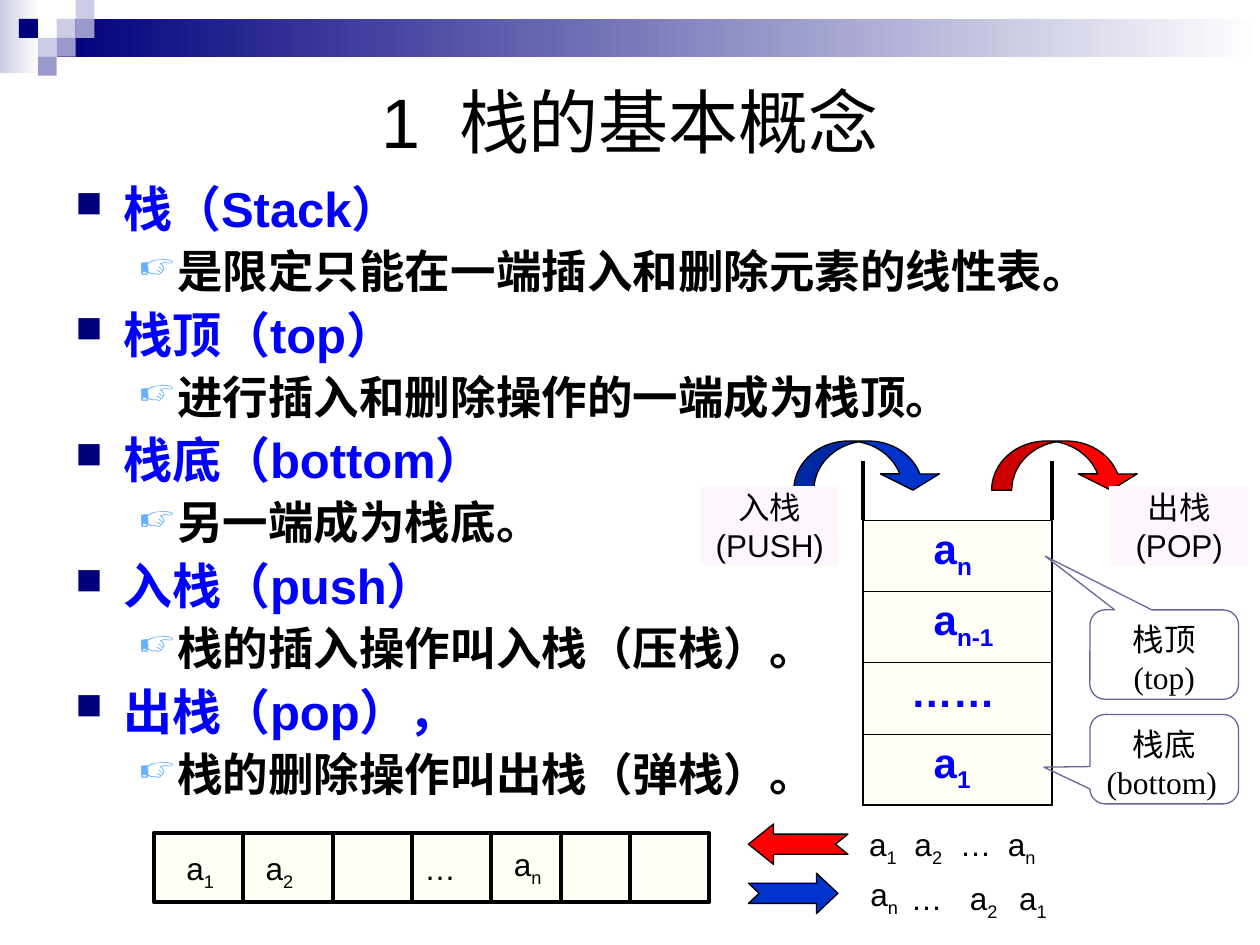
from pptx import Presentation
from pptx.util import Inches, Pt
from pptx.dml.color import RGBColor
from pptx.enum.shapes import MSO_SHAPE, MSO_CONNECTOR
from pptx.enum.text import PP_ALIGN, MSO_ANCHOR
from pptx.oxml import parse_xml
from pptx.oxml.ns import nsdecls, qn
from lxml.etree import SubElement

deck = Presentation()
deck.slide_width, deck.slide_height = Inches(10), Inches(7.5)
unit = deck.slide_width // 10  # grid of 10 columns by 7.5 rows
hue = RGBColor.from_string
slide = deck.slides.add_slide(deck.slide_layouts[5])
shapes = slide.shapes


def add(kind, x, y, w, h, fill=None, line=None, width=0.75):
    """Add a preset shape, or a text box when kind is None; sizes in grid units."""
    spot = [round(v * unit) for v in (x, y, w, h)]
    if kind is None:
        return shapes.add_textbox(*spot)
    shape = shapes.add_shape(kind, *spot)
    shape.shadow.inherit = False
    if fill:
        shape.fill.solid()
        shape.fill.fore_color.rgb = hue(fill)
    else:
        shape.fill.background()
    if line:
        shape.line.color.rgb = hue(line)
        shape.line.width = Pt(width)
    else:
        shape.line.fill.background()
    return shape


def write(para, text, size=18, ink="000000", face="Arial", bold=False):
    """Fill a paragraph; the part after "_" in each tabbed piece is a subscript."""
    for i, piece in enumerate(text.split("\t")):
        base, _, sub = piece.partition("_")
        for part, low in ((("\t" if i else "") + base, False), (sub, True)):
            if not part:
                continue
            run = para.add_run()
            run.text = part
            run.font.size = Pt(size)
            run.font.name = face
            run.font.bold = bold
            run.font.color.rgb = hue(ink)
            if low:
                run._r.get_or_add_rPr().set("baseline", "-25000")


# Banner
for x, y, w, h, start in ((0, 0, 0.31, 0.58, "CCCCE6"), (0.45, 0.15, 9.55, 0.3, "00007D")):
    band = add(MSO_SHAPE.RECTANGLE, x, y, w, h, start)
    band.fill.gradient()
    band.fill.gradient_angle = 0
    for stop, tint in zip(band.fill.gradient_stops, (start, "FFFFFF")):
        stop.color.rgb = hue(tint)
side = 0.15
for col, row, tint in ((3, 1, "CCCCE6"), (4, 0, "CCCCE6"), (4, 1, "9999CC"), (2, 2, "CCCCE6"),
                       (1, 1, "00007D"), (3, 2, "9999CC"), (2, 3, "9999CC")):
    add(MSO_SHAPE.RECTANGLE, col * side, row * side, side, side, tint)

# Title
title = shapes.title
title.left, title.top, title.width, title.height = (
    round(v * unit) for v in (0.5, 0.5, 9, 0.92))
title.text_frame.vertical_anchor = MSO_ANCHOR.MIDDLE
head = title.text_frame.paragraphs[0]
head.alignment = PP_ALIGN.CENTER
write(head, "1  栈的基本概念", 40)

# Terms and their meanings
terms = (
    ("栈（Stack）", "是限定只能在一端插入和删除元素的线性表。"),
    ("栈顶（top）", "进行插入和删除操作的一端成为栈顶。"),
    ("栈底（bottom）", "另一端成为栈底。"),
    ("入栈（push）", "栈的插入操作叫入栈（压栈）。"),
    ("出栈（pop），", "栈的删除操作叫出栈（弹栈）。"),
)
levels = (  # left, hang, bullet, bullet colour, bullet size, text size, ink
    (0.38, 0.38, "■", "00007D", 75, 28, "0000FF"),
    (0.81, 0.31, "☞", "67AFFF", 80, 26, "000000"),
)
frame = add(None, 0.5, 1.42, 9, 5.33).text_frame
frame.word_wrap = True
for n, pair in enumerate(terms):
    for level, text in enumerate(pair):
        left, hang, mark, tint, share, size, ink = levels[level]
        first = n == level == 0
        para = frame.paragraphs[0] if first else frame.add_paragraph()
        para.level = level
        props = para._p.get_or_add_pPr()
        props.set("marL", str(Inches(left)))
        props.set("indent", str(-Inches(hang)))
        SubElement(SubElement(props, qn("a:buClr")), qn("a:srgbClr")).set("val", tint)
        SubElement(props, qn("a:buSzPct")).set("val", str(share * 1000))
        SubElement(props, qn("a:buChar")).set("char", mark)
        para.line_spacing = 0.9
        if not first:
            para.space_before = Pt(size / 4)
        write(para, text, size, ink, bold=True)

# In and out arrows beside the row of cells
for y, w, tint, turn, tip in ((6.54, 0.79, "FF0000", 180, 0.62), (6.93, 0.71, "0033CC", 0, 0.53)):
    arrow = add(MSO_SHAPE.NOTCHED_RIGHT_ARROW, 5.94, y, w, 0.32, tint, "000000")
    arrow.rotation = turn
    arrow.adjustments[0], arrow.adjustments[1] = 0.5, tip

# Row of cells, and the rails above the stack
add(MSO_SHAPE.RECTANGLE, 1.22, 6.61, 4.41, 0.55, "FFFFF5", "000000", 2.25)
rules = [(x, 6.61, 7.16, 2.25) for x in (1.93, 2.64, 3.27, 3.9, 4.45, 5)]
rules += [(x, 4.13, 3.66, 2) for x in (6.85, 8.35)]
for x, top, end, width in rules:
    rule = shapes.add_connector(
        MSO_CONNECTOR.STRAIGHT, *(round(v * unit) for v in (x, top, x, end)))
    rule.line.color.rgb = hue("000000")
    rule.line.width = Pt(width)
    SubElement(rule._element.spPr, qn("a:effectLst"))

# Element labels
for text, x, y, w, lead in (
        ("a_1", 1.38, 6.69, 0.79, 1), ("a_2", 2.01, 6.69, 0.94, 1),
        ("…", 3.27, 6.69, 0.79, 1), ("a_n", 3.98, 6.69, 0.87, 0.8),
        ("a_1\ta_2\t…\ta_n", 6.8, 6.5, 1.96, 1),
        ("a_n", 6.81, 6.93, 0.87, 0.8), ("…", 7.13, 6.93, 0.79, 1),
        ("a_2", 7.6, 6.93, 0.94, 1), ("a_1", 7.99, 6.93, 0.79, 1)):
    frame = add(None, x, y, w, 0.44).text_frame
    frame.word_wrap = True
    para = frame.paragraphs[0]
    if "\t" in text:
        tabs = SubElement(para._p.get_or_add_pPr(), qn("a:tabLst"))
        for stop in (0.36, 0.72, 1.1):
            tab = SubElement(tabs, qn("a:tab"))
            tab.set("pos", str(Inches(stop)))
            tab.set("algn", "l")
    para.line_spacing = float(lead)
    write(para, text)

# Stack
items = ("a_n", "a_n-1", "……", "a_1")
table = shapes.add_table(
    len(items), 1, *(round(v * unit) for v in (6.85, 4.13, 1.5, 2.26))).table
for n, text in enumerate(items):
    cell = table.cell(n, 0)
    cell.margin_left = Inches(0.38 if text == "……" else 0.56)
    write(cell.text_frame.paragraphs[0], text, 24, "0000FF", bold=True)
    props = cell._tc.get_or_add_tcPr()
    for edge, outer in (("L", True), ("R", True), ("T", n == 0), ("B", n == len(items) - 1)):
        width = Pt(1.08 if outer else 0.45)
        props.append(parse_xml(
            f'<a:ln{edge} {nsdecls("a")} w="{width}"><a:solidFill>'
            f'<a:srgbClr val="000000"/></a:solidFill></a:ln{edge}>'))
    cell.fill.solid()
    cell.fill.fore_color.rgb = hue("FFFFF5")

# Push and pop arrows
for x, tint in ((6.3, "0033CC"), (7.87, "FF0000")):
    arrow = add(MSO_SHAPE.CURVED_DOWN_ARROW, x, 3.5, 1.18, 0.39, tint, "000000")
    for n, value in enumerate((0.41, 1.2, 0.33)):
        arrow.adjustments[n] = value

# Push and pop names, then callouts
block, bubble = MSO_SHAPE.RECTANGLE, MSO_SHAPE.ROUNDED_RECTANGULAR_CALLOUT
for kind, x, y, w, h, lines, tail in (
        (block, 5.56, 3.86, 1.1, 0.63, ("入栈", "(PUSH)"), ()),
        (block, 8.81, 3.86, 1.1, 0.63, ("出栈", "(POP)"), ()),
        (bubble, 8.65, 4.84, 1.18, 0.71, ("栈顶", "(top)"), (-0.8, -1.1, 0.17)),
        (bubble, 8.65, 5.67, 1.18, 0.71, ("栈底", "(bottom)"), (-0.81, 0.09, 0.17))):
    fill, line, face = ((None, "666699", "Times New Roman") if tail
                        else ("FFF5FF", "FFFFF5", "Arial"))
    note = add(kind, x, y, w, h, fill, line)
    for n, value in enumerate(tail):
        note.adjustments[n] = value
    frame = note.text_frame
    frame.word_wrap = bool(tail)
    frame.vertical_anchor = MSO_ANCHOR.TOP if tail else MSO_ANCHOR.MIDDLE
    for n, text in enumerate(lines):
        para = frame.add_paragraph() if n else frame.paragraphs[0]
        para.alignment = PP_ALIGN.JUSTIFY if text == "(bottom)" else PP_ALIGN.CENTER
        write(para, text, face=face)

deck.save("out.pptx")
